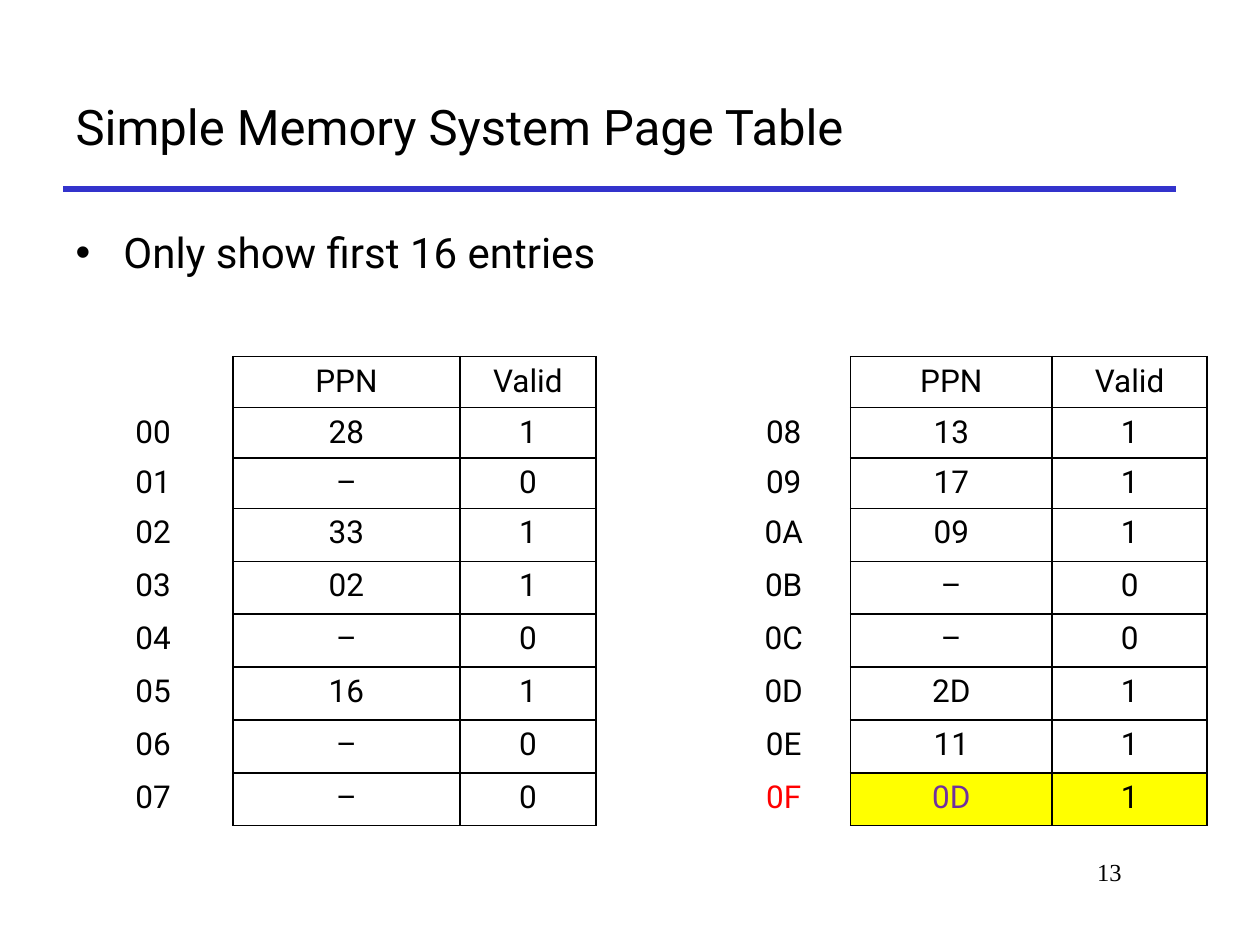
from lxml import etree
from pptx import Presentation
from pptx.dml.color import RGBColor
from pptx.enum.shapes import MSO_CONNECTOR
from pptx.enum.text import MSO_ANCHOR, MSO_AUTO_SIZE, PP_ALIGN
from pptx.oxml.ns import qn
from pptx.util import Inches, Pt

LEFT, CENTER, RIGHT = PP_ALIGN.LEFT, PP_ALIGN.CENTER, PP_ALIGN.RIGHT
TOP, MIDDLE = MSO_ANCHOR.TOP, MSO_ANCHOR.MIDDLE
NO_AUTOFIT = MSO_AUTO_SIZE.NONE
STRAIGHT = MSO_CONNECTOR.STRAIGHT

BLACK, BLUE, RED = "000000", "3333CC", "FF0000"
PURPLE, YELLOW = "7030A0", "FFFF00"
BODY_FONT, NUMBER_FONT = "Roboto", "Times New Roman"

HEADINGS = ("", "PPN", "Valid")
ROW_HEIGHTS = [0.4] * 3 + [0.42] * 6
FIRST_HALF = [("00", "28", "1"), ("01", "–", "0"), ("02", "33", "1"),
              ("03", "02", "1"), ("04", "–", "0"), ("05", "16", "1"),
              ("06", "–", "0"), ("07", "–", "0")]
SECOND_HALF = [("08", "13", "1"), ("09", "17", "1"), ("0A", "09", "1"),
               ("0B", "–", "0"), ("0C", "–", "0"), ("0D", "2D", "1"),
               ("0E", "11", "1"), ("0F", "0D", "1")]
HIGHLIGHTED_ENTRY = "0F"
HIGHLIGHT_COLORS = (RED, PURPLE, BLACK)


def color(hex_string):
    return RGBColor.from_string(hex_string)


def apply_format(target, values):
    for attribute, value in values.items():
        setattr(target, attribute, value)


def write(frame, text, size, align, font_name=BODY_FONT, font_color=BLACK):
    """Put one formatted line of text in a frame."""
    paragraph = frame.paragraphs[0]
    apply_format(paragraph, {"alignment": align, "space_before": Pt(0)})
    run = paragraph.add_run()
    run.text = text
    apply_format(run.font, {"name": font_name, "size": Pt(size), "bold": False})
    run.font.color.rgb = color(font_color)
    return paragraph


def place(shape, box, anchor):
    left, top, width, height = map(Inches, box)
    apply_format(shape, {"left": left, "top": top,
                         "width": width, "height": height})
    apply_format(shape.text_frame, {"word_wrap": True, "auto_size": NO_AUTOFIT,
                                    "vertical_anchor": anchor})


def add_title(slide, box):
    place(slide.shapes.title, box, MIDDLE)
    write(slide.shapes.title.text_frame, "Simple Memory System Page Table", 28, LEFT)


def add_rule(slide, left, right, y):
    rule = slide.shapes.add_connector(STRAIGHT, Inches(left), Inches(y),
                                      Inches(right), Inches(y))
    rule.line.color.rgb = color(BLUE)
    rule.line.width = Pt(3)
    etree.SubElement(rule._element.spPr, qn("a:effectLst"))


def add_bullet(slide, box):
    body = slide.placeholders[1]
    place(body, box, TOP)
    paragraph = write(body.text_frame, "Only show first 16 entries", 24, LEFT)
    properties = paragraph._p.get_or_add_pPr()
    properties.set("marL", str(Inches(0.38)))
    properties.set("indent", str(-Inches(0.38)))
    etree.SubElement(properties, qn("a:buChar"), char="•")


def add_borders(cell, sides):
    """Draw thin black lines on the given sides and none on the others."""
    properties = cell._tc.get_or_add_tcPr()
    for side in "LRTB":
        line = etree.SubElement(properties, qn(f"a:ln{side}"), w=str(Pt(1)))
        if side in sides:
            fill = etree.SubElement(line, qn("a:solidFill"))
            etree.SubElement(fill, qn("a:srgbClr"), val=BLACK)
        else:
            etree.SubElement(line, qn("a:noFill"))


def add_page_table(slide, left, top, column_widths, entries):
    rows = [HEADINGS, *entries]
    table = slide.shapes.add_table(
        len(rows), len(HEADINGS), Inches(left), Inches(top),
        Inches(sum(column_widths)), Inches(sum(ROW_HEIGHTS))).table
    apply_format(table, {"first_row": False, "horz_banding": False})
    for column, width in zip(table.columns, column_widths):
        column.width = Inches(width)

    for row, height, values in zip(table.rows, ROW_HEIGHTS, rows):
        row.height = Inches(height)
        highlighted = values[0] == HIGHLIGHTED_ENTRY
        text_colors = HIGHLIGHT_COLORS if highlighted else [BLACK] * 3
        for index, cell in enumerate(row.cells):
            # The entry number stands outside the ruled grid
            add_borders(cell, "LRTB" if index else "R")
            if highlighted and index:
                cell.fill.solid()
                cell.fill.fore_color.rgb = color(YELLOW)
            else:
                cell.fill.background()
            if values[index]:
                write(cell.text_frame, values[index], 18, CENTER,
                      font_color=text_colors[index])


def add_slide_number(slide, box):
    number = slide.shapes.add_textbox(*map(Inches, box))
    place(number, box, TOP)
    write(number.text_frame, "13", 14, RIGHT, NUMBER_FONT)


def main():
    presentation = Presentation()
    presentation.slide_width = Inches(10)
    presentation.slide_height = Inches(7.5)
    slide = presentation.slides.add_slide(presentation.slide_layouts[1])

    # Heading
    add_rule(slide, 0.5, 9.33, 1.5)
    add_title(slide, (0.5, 0.5, 8.83, 1))
    add_bullet(slide, (0.5, 1.75, 8.25, 0.58))

    # The two halves of the page table
    add_page_table(slide, 0.58, 2.83, (1.27, 1.8, 1.08), FIRST_HALF)
    add_page_table(slide, 5.69, 2.83, (1.06, 1.6, 1.23), SECOND_HALF)

    # Footer
    add_slide_number(slide, (7.58, 6.75, 1.42, 0.5))
    presentation.save("out.pptx")


if __name__ == "__main__":
    main()
